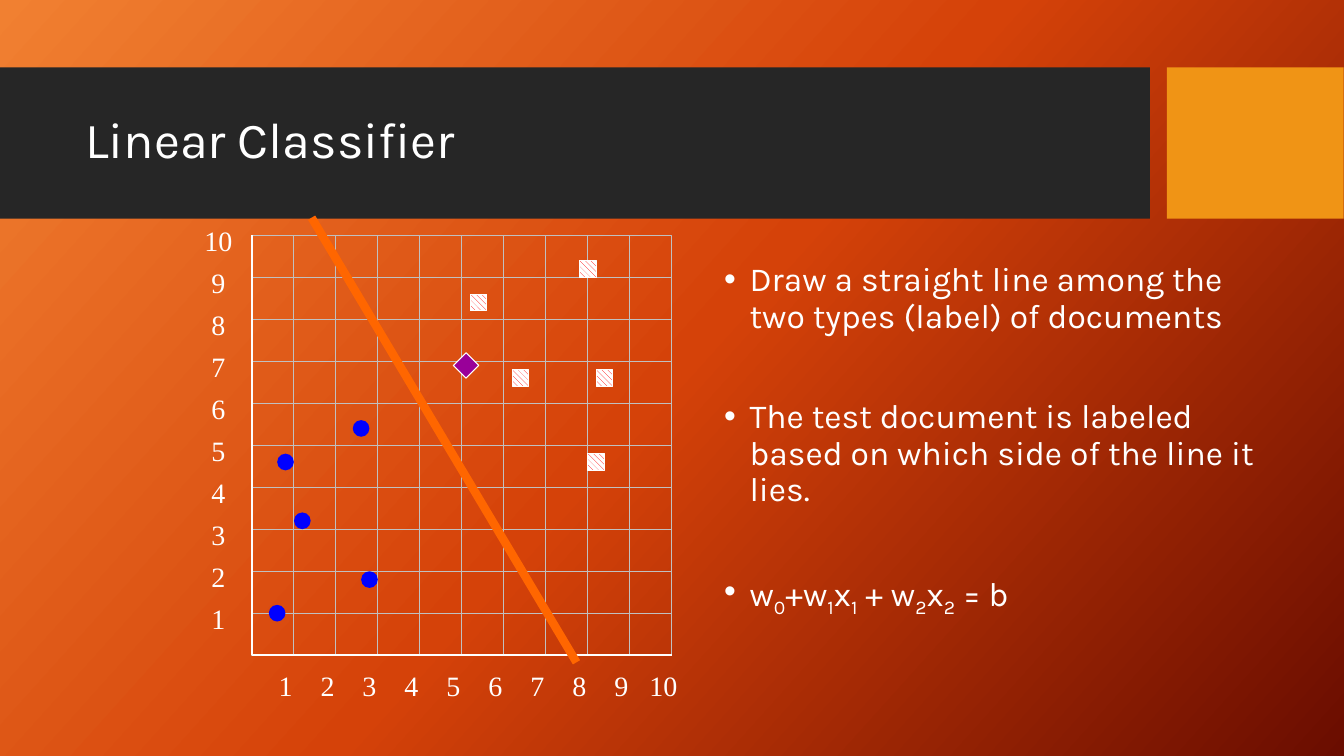
from copy import deepcopy

from lxml.etree import SubElement
from pptx import Presentation
from pptx.dml.color import RGBColor
from pptx.enum.dml import MSO_PATTERN
from pptx.enum.shapes import MSO_CONNECTOR, MSO_SHAPE
from pptx.enum.text import MSO_ANCHOR as Anchor, PP_ALIGN as Align
from pptx.oxml.ns import qn
from pptx.util import Cm, Pt

GRID_LEFT, GRID_BASE = 6.35, 16.51
GRID_SIZE, CELLS = 10.58, 10
CELL = GRID_SIZE / CELLS

ROUND_DOCUMENTS = [(1.2, 3.2), (2.8, 1.8), (2.6, 5.4), (0.6, 1), (0.8, 4.6)]
SQUARE_DOCUMENTS = [(5.4, 8.4), (6.4, 6.6), (8, 9.2), (8.4, 6.6), (8.2, 4.6)]
TEST_DOCUMENT = (5.1, 6.9)
CLASSIFIER_LINE = [(1.42, 10.42), (7.73, -0.17)]

POINTS = [
    "Draw a straight line among the two types (label) of documents",
    "The test document is labeled based on which side of the line it lies.",
    "w|0|+w|1|x|1| + w|2|x|2| = b",
]


def color(value):
    return RGBColor.from_string(value)


def grid_point(x, y):
    return GRID_LEFT + x * CELL, GRID_BASE - y * CELL


def write(para, text, size=24, font="Karla", ink="FFFFFF", align=None,
          line_spacing=None, space_before=0, bullet=False):
    para.alignment = align
    para.line_spacing = line_spacing
    para.space_before = Pt(space_before)
    if bullet:
        properties = para._p.get_or_add_pPr()
        properties.set("marL", str(Cm(0.64)))
        properties.set("indent", str(-Cm(0.64)))
        SubElement(properties, qn("a:buFont"), typeface="Arial")
        SubElement(properties, qn("a:buChar"), char="•")
    for index, piece in enumerate(text.split("|")):
        span = para.add_run()
        span.text = piece
        span.font.size = Pt(size)
        span.font.name = font
        span.font.color.rgb = color(ink)
        if index % 2:
            span._r.get_or_add_rPr().set("baseline", "-25000")


class ClassifierSlide:
    white = "FFFFFF"
    label_font = "Times New Roman"

    def __init__(self, deck):
        self.page = deck.slides.add_slide(deck.slide_layouts[6])

    def background(self, stops, angle):
        fill = self.page.background.fill
        fill.gradient()
        fill.gradient_angle = angle
        stop_list = next(self.page.element.iter(qn("a:gsLst")))
        stop_list.insert(1, deepcopy(stop_list[0]))
        for stop, (position, shade) in zip(fill.gradient_stops, stops):
            stop.position = position
            stop.color.rgb = color(shade)

    def shape(self, kind, left, top, width, height, fill=None, line=None,
              line_width=0.75, hatch=None):
        shape = self.page.shapes.add_shape(
            kind, Cm(left), Cm(top), Cm(width), Cm(height))
        shape.shadow.inherit = False
        if hatch:
            shape.fill.patterned()
            shape.fill.pattern = MSO_PATTERN.WIDE_DOWNWARD_DIAGONAL
            shape.fill.fore_color.rgb = color(hatch)
            shape.fill.back_color.rgb = color(fill)
        elif fill:
            shape.fill.solid()
            shape.fill.fore_color.rgb = color(fill)
        else:
            shape.fill.background()
        if line:
            shape.line.color.rgb = color(line)
            shape.line.width = Pt(line_width)
        else:
            shape.line.fill.background()

    def marker(self, kind, point, size, **style):
        x, y = grid_point(*point)
        self.shape(kind, x - size / 2, y - size / 2, size, size, **style)

    def line(self, start, end, ink, width):
        ends = [Cm(value) for point in (start, end)
                for value in grid_point(*point)]
        line = self.page.shapes.add_connector(MSO_CONNECTOR.STRAIGHT, *ends)
        line.line.color.rgb = color(ink)
        line.line.width = Pt(width)
        SubElement(line._element.spPr, qn("a:effectLst"))

    def text_box(self, left, top, width, height, anchor=Anchor.TOP, margin=0.25):
        box = self.page.shapes.add_textbox(
            Cm(left), Cm(top), Cm(width), Cm(height))
        frame = box.text_frame
        frame.word_wrap = True
        frame.vertical_anchor = anchor
        frame.margin_left = frame.margin_right = Cm(margin)
        return frame

    def label(self, text, point):
        width, height = 1.2, 1.1
        x, y = grid_point(*point)
        frame = self.text_box(x - width / 2, y - height / 2, width, height,
                              margin=0)
        write(frame.paragraphs[0], text, size=20, font=self.label_font,
              align=Align.CENTER)

    def title(self, text):
        frame = self.text_box(1.9, 2.08, 26.7, 3, anchor=Anchor.MIDDLE)
        write(frame.paragraphs[0], text, size=36, line_spacing=0.9)

    def bullets(self, points):
        frame = self.text_box(18, 6.5, 13.89, 10)
        for index, text in enumerate(points):
            para = frame.add_paragraph() if index else frame.paragraphs[0]
            write(para, text, line_spacing=0.9, bullet=True,
                  space_before=46 if index else 10)

    def grid(self):
        for row in range(CELLS):
            for column in range(CELLS):
                self.marker(MSO_SHAPE.RECTANGLE, (column + 0.5, row + 0.5),
                            CELL, line="C0C0C0", line_width=0)
        for end in [(CELLS, 0), (0, CELLS)]:
            self.line((0, 0), end, self.white, 1.75)

    def axis_labels(self):
        for number in range(1, CELLS + 1):
            self.label(str(number), (number - 0.2, -0.72))
            self.label(str(number), (-0.8, number - 0.13))

    def documents(self):
        for point in ROUND_DOCUMENTS:
            self.marker(MSO_SHAPE.OVAL, point, 0.42, fill="0000FF")
        for point in SQUARE_DOCUMENTS:
            self.marker(MSO_SHAPE.RECTANGLE, point, 0.42, fill=self.white,
                        line=self.white, hatch="FF0000")


def main():
    deck = Presentation()
    deck.slide_width, deck.slide_height = Cm(33.87), Cm(19.05)
    slide = ClassifierSlide(deck)
    slide.background([(0, "F18031"), (0.5, "D54209"), (1, "6A0D00")], 318)
    slide.shape(MSO_SHAPE.RECTANGLE, 0, 1.7, 28.98, 3.81, fill="262626")
    slide.shape(MSO_SHAPE.RECTANGLE, 29.41, 1.7, 4.45, 3.81, fill="F09415")
    slide.title("Linear Classifier")
    slide.bullets(POINTS)
    slide.grid()
    slide.documents()
    slide.axis_labels()
    slide.line(*CLASSIFIER_LINE, "FF6600", 6)
    slide.marker(MSO_SHAPE.DIAMOND, TEST_DOCUMENT, 0.64, fill="990099",
                 line=slide.white)
    deck.save("out.pptx")


if __name__ == "__main__":
    main()
